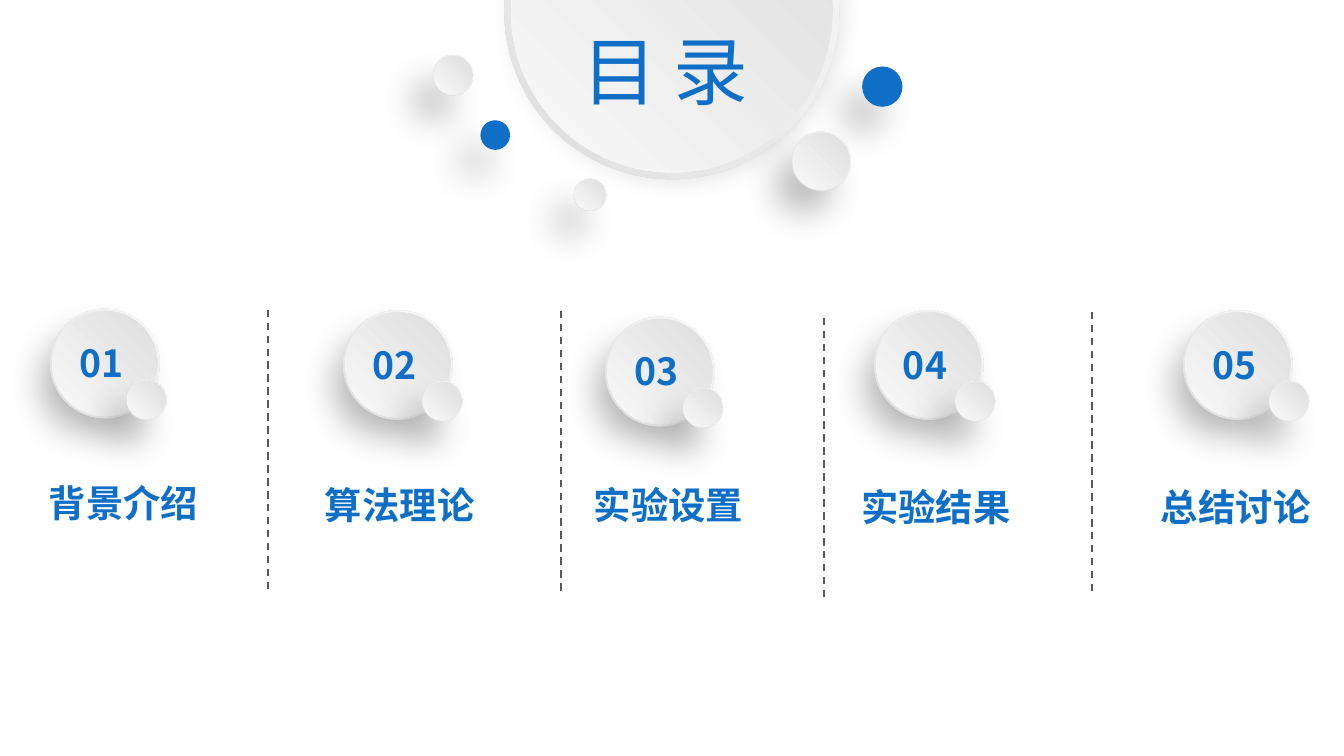
from dataclasses import dataclass

from lxml import etree
from pptx import Presentation
from pptx.dml.color import RGBColor
from pptx.enum.dml import MSO_LINE
from pptx.enum.shapes import MSO_CONNECTOR, MSO_SHAPE
from pptx.enum.text import MSO_AUTO_SIZE
from pptx.oxml import parse_xml
from pptx.oxml.ns import nsdecls, qn
from pptx.util import Emu, Inches, Pt

ELLIPSE = MSO_SHAPE.OVAL
STRAIGHT = MSO_CONNECTOR.STRAIGHT
DASH = MSO_LINE.DASH
FIT_SHAPE = MSO_AUTO_SIZE.SHAPE_TO_FIT_TEXT

BLUE = RGBColor(0x0F, 0x6F, 0xC6)
WHITE = RGBColor(0xFF, 0xFF, 0xFF)
NEAR_WHITE = RGBColor(0xFE, 0xFE, 0xFE)
SILVER = RGBColor(0xD9, 0xD9, 0xD9)
GREY = RGBColor(0x59, 0x59, 0x59)
FONT = "Noto Sans CJK SC"

# 16:9 slide on a square grid of 100 columns; all lengths are in its cells
WIDTH = Inches(10)
HEIGHT = Emu(WIDTH * 9 // 16)
CELL = WIDTH / 100

TILT = 29.5
FACE_SHARE = 0.96
DISC_SIZE, DOT_SIZE = 8.15, 3.0
NUMBER_WIDTH, LINE_HEIGHT = 5.8, 4.4
DIVIDER_LENGTH = 21


@dataclass(frozen=True)
class Disc:
    x: float  # centre
    y: float
    size: float
    solid: bool = False


@dataclass(frozen=True)
class Section:
    label: str
    x: float  # centre of the numbered disc
    y: float
    dot_shift: float
    label_left: float
    label_top: float
    label_width: float


@dataclass(frozen=True)
class Divider:
    x: float
    top: float


HEADER_DISCS = [
    Disc(49.98, 0.88, 24.9),
    Disc(33.7, 5.6, 3.0),
    Disc(65.65, 6.45, 3.0, solid=True),
    Disc(43.9, 14.5, 2.4),
    Disc(61.1, 12.0, 4.4),
    Disc(36.85, 10.05, 2.2, solid=True),
]
SECTIONS = [
    Section("背景介绍", 7.8, 27.05, 3.1, 2.65, 35.25, 14.1),
    Section("算法理论", 29.6, 27.15, 3.3, 23.2, 35.4, 13.7),
    Section("实验设置", 49.1, 27.65, 3.2, 43.2, 35.4, 13.7),
    Section("实验结果", 69.1, 27.15, 3.45, 63.1, 35.55, 14.0),
    Section("总结讨论", 92.1, 27.15, 3.8, 85.4, 35.55, 13.6),
]
DIVIDERS = [Divider(19.95, 22.85), Divider(41.75, 22.95),
            Divider(61.3, 23.45), Divider(81.25, 23)]


def cells(n: float) -> Emu:
    return Emu(round(n * CELL))


def radial_fill(s, inner: RGBColor, outer: RGBColor) -> None:
    """Gradient that spreads from the top right corner."""
    s.fill.gradient()
    for stop, color in zip(s.fill.gradient_stops, (inner, outer)):
        stop.color.rgb = color
    grad = s._element.spPr.find(qn("a:gradFill"))
    grad.remove(grad.find(qn("a:lin")))
    grad.append(parse_xml(
        f'<a:path {nsdecls("a")} path="circle">'
        '<a:fillToRect l="100000" b="100000"/></a:path>'))


def add_shadow(s) -> None:
    """Soft shadow, a little smaller than the shape, to the lower left."""
    effects = s._element.spPr.find(qn("a:effectLst"))
    effects.append(parse_xml(
        f'<a:outerShdw {nsdecls("a")} blurRad="{Pt(20)}" dist="{Pt(19)}" '
        f'dir="{130 * 60000}" sx="90000" sy="90000" algn="tr" '
        'rotWithShape="0">'
        '<a:srgbClr val="000000"><a:alpha val="30000"/></a:srgbClr>'
        '</a:outerShdw>'))


def add_circle(shapes, disc: Disc, size: float,
               inner: RGBColor, outer: RGBColor):
    s = shapes.add_shape(ELLIPSE, cells(disc.x - size / 2),
                         cells(disc.y - size / 2), cells(size), cells(size))
    s.rotation = TILT
    s.line.fill.background()
    s.shadow.inherit = False
    if disc.solid:
        s.fill.solid()
        s.fill.fore_color.rgb = BLUE
    else:
        radial_fill(s, inner, outer)
    return s


def add_disc(shapes, disc: Disc):
    """Shadowed rim with a smaller face on it, as one group."""
    group = shapes.add_group_shape()
    rim = add_circle(group.shapes, disc, disc.size, WHITE, SILVER)
    add_shadow(rim)
    add_circle(group.shapes, disc, disc.size * FACE_SHARE, SILVER, NEAR_WHITE)
    return group


def add_text(shapes, text: str, *, left: float, top: float, width: float,
             height: float = LINE_HEIGHT, size: float = 20,
             bold: bool = True) -> None:
    tf = shapes.add_textbox(cells(left), cells(top), cells(width),
                            cells(height)).text_frame
    tf.word_wrap = True
    tf.auto_size = FIT_SHAPE
    r = tf.paragraphs[0].add_run()
    r.text = text
    r.font.name = FONT
    r.font.size = Pt(size)
    r.font.bold = bold
    r.font.color.rgb = BLUE
    etree.SubElement(r.font._element, qn("a:ea")).set("typeface", FONT)


def add_section(shapes, number: int, sec: Section) -> None:
    group = add_disc(shapes, Disc(sec.x, sec.y, DISC_SIZE))
    add_text(group.shapes, f"{number:02}", left=sec.x - NUMBER_WIDTH / 2,
             top=sec.y - LINE_HEIGHT / 2, width=NUMBER_WIDTH)
    add_disc(shapes, Disc(sec.x + sec.dot_shift, sec.y + 2.7, DOT_SIZE))
    add_text(shapes, sec.label, left=sec.label_left, top=sec.label_top,
             width=sec.label_width)


def add_divider(shapes, div: Divider) -> None:
    c = shapes.add_connector(STRAIGHT, cells(div.x),
                             cells(div.top + DIVIDER_LENGTH),
                             cells(div.x), cells(div.top))
    c.line.color.rgb = GREY
    c.line.width = Pt(1)
    c.line.dash_style = DASH
    etree.SubElement(c._element.spPr, qn("a:effectLst"))


def main() -> None:
    prs = Presentation()
    prs.slide_width, prs.slide_height = WIDTH, HEIGHT
    shapes = prs.slides.add_slide(prs.slide_layouts[6]).shapes

    # Header discs and title
    for disc in HEADER_DISCS:
        add_disc(shapes, disc)
    add_text(shapes, "目 录", left=42.35, top=1.35, width=15.6, height=7.7,
             size=40, bold=False)

    # Numbered sections and the dashed lines between them
    for number, sec in enumerate(SECTIONS, start=1):
        add_section(shapes, number, sec)
    for div in DIVIDERS:
        add_divider(shapes, div)

    prs.save("out.pptx")


if __name__ == "__main__":
    main()
